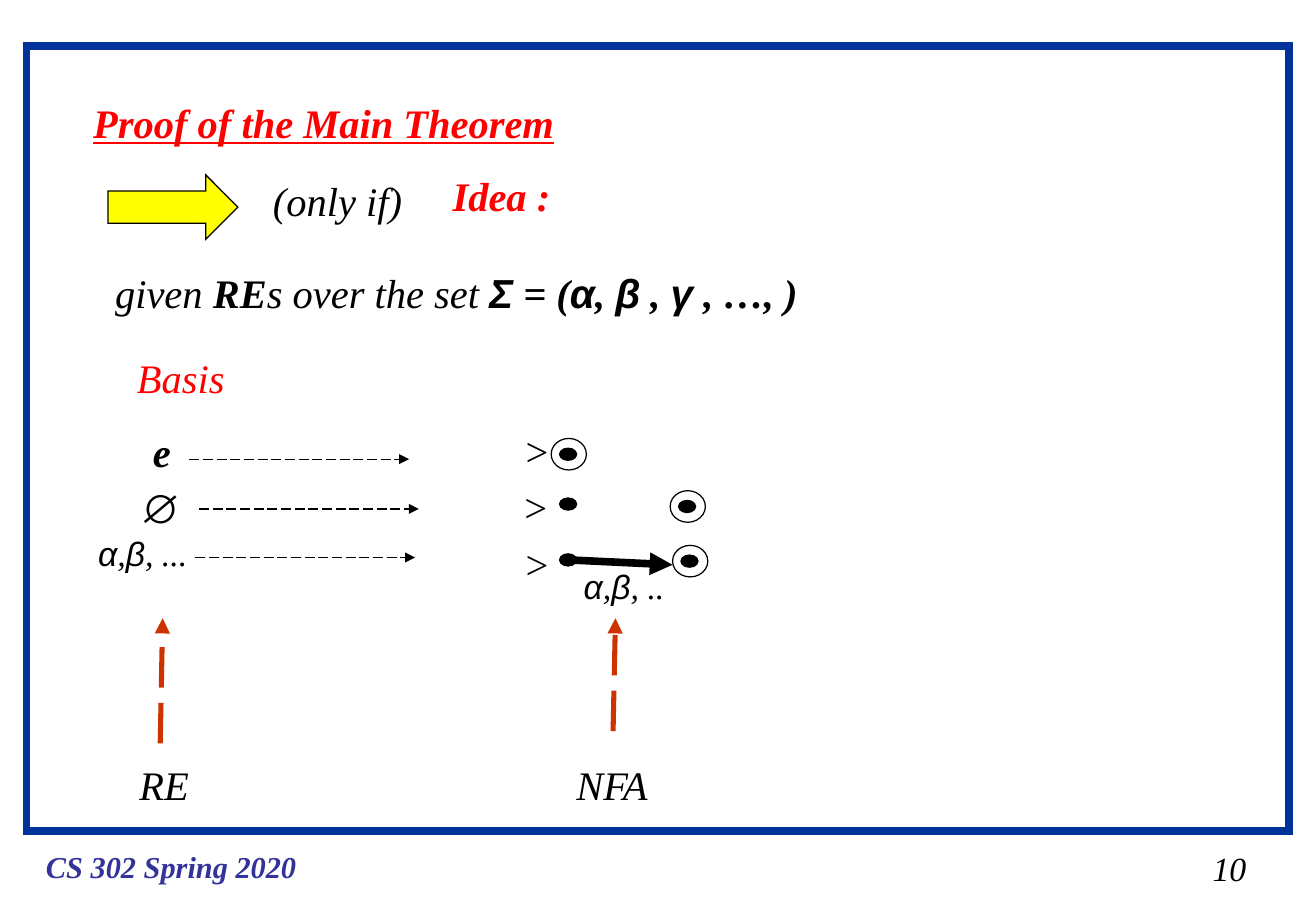
from lxml.etree import SubElement
from pptx import Presentation
from pptx.dml.color import RGBColor
from pptx.enum.dml import MSO_LINE
from pptx.enum.shapes import MSO_CONNECTOR, MSO_SHAPE
from pptx.enum.text import MSO_AUTO_SIZE
from pptx.oxml.ns import qn
from pptx.util import Inches, Pt

COLORS = {
    "black": "000000",
    "red": "FF0000",
    "yellow": "FFFF00",
    "frame": "003399",
    "footer": "333399",
    "pointer": "CC3300",
}
SYMBOLS = {"Σ", "α", "β", "γ", "∅"}


def rgb(name):
    return RGBColor.from_string(COLORS[name])


def add_text(slide, left, top, width, runs, size=24, color="black",
             bold=False, underline=False, wrap=False):
    """Add italic text; runs is a string or a list of (text, bold) pairs."""
    height = 0.5 if size == 24 else 0.44
    box = slide.shapes.add_textbox(Inches(left), Inches(top), Inches(width), Inches(height))
    frame = box.text_frame
    frame.word_wrap = wrap
    frame.auto_size = MSO_AUTO_SIZE.SHAPE_TO_FIT_TEXT
    paragraph = frame.paragraphs[0]
    for text, run_bold in [(runs, bold)] if isinstance(runs, str) else runs:
        run = paragraph.add_run()
        run.text = text
        font = run.font
        font.name = "Arial" if text in SYMBOLS else "Times New Roman"
        font.size = Pt(size)
        font.italic = True
        font.bold = run_bold
        if underline:
            font.underline = True
        font.color.rgb = rgb(color)


def add_figure(slide, kind, left, top, width, height, fill=None, line="black", weight=0.75):
    shape = slide.shapes.add_shape(kind, Inches(left), Inches(top), Inches(width), Inches(height))
    shape.shadow.inherit = False
    if fill:
        shape.fill.solid()
        shape.fill.fore_color.rgb = rgb(fill)
    else:
        shape.fill.background()
    shape.line.color.rgb = rgb(line)
    shape.line.width = Pt(weight)
    SubElement(shape._element.spPr.find(qn("a:ln")), qn("a:miter"), lim="800000")


def add_arrow(slide, start, end, color="black", weight=0.75, dashed=True):
    connector = slide.shapes.add_connector(
        MSO_CONNECTOR.STRAIGHT, *(Inches(value) for value in (*start, *end)))
    line = connector.line
    line.color.rgb = rgb(color)
    line.width = Pt(weight)
    if dashed:
        line.dash_style = MSO_LINE.LONG_DASH
    properties = connector._element.spPr
    SubElement(properties.find(qn("a:ln")), qn("a:tailEnd"), type="triangle")
    SubElement(properties, qn("a:effectLst"))


def add_state(slide, left, top, accepting=False):
    """Add a state dot, ringed when it is accepting."""
    add_figure(slide, MSO_SHAPE.OVAL, left, top, 0.14, 0.1, fill="black")
    if accepting:
        add_figure(slide, MSO_SHAPE.OVAL, left - 0.07, top - 0.08, 0.29, 0.26)


def add_letters(slide, left, top, width, ending):
    letters = [("α", False), (",", False), ("β", False), (ending, False)]
    add_text(slide, left, top, width, letters, size=20)


def add_basis_row(slide, arrow_left, arrow_y, start_left, start_top):
    """Add the dashed arrow from an expression and the start mark of its automaton."""
    add_arrow(slide, (arrow_left, arrow_y), (arrow_left + 1.81, arrow_y))
    add_text(slide, start_left, start_top, 0.42, ">")


def add_basis(slide):
    add_text(slide, 1.03, 2.86, 0.94, "Basis", color="red")

    add_text(slide, 1.16, 3.47, 0.35, "e", bold=True)
    add_basis_row(slide, 1.56, 3.78, 4.21, 3.46)
    add_state(slide, 4.61, 3.69, accepting=True)

    add_text(slide, 1.06, 3.93, 0.46, "∅", bold=True)
    add_basis_row(slide, 1.64, 4.19, 4.2, 3.92)
    add_state(slide, 4.61, 4.1)
    add_state(slide, 5.59, 4.12, accepting=True)

    add_letters(slide, 0.71, 4.34, 0.94, ", ...")
    add_basis_row(slide, 1.61, 4.59, 4.21, 4.39)
    add_state(slide, 4.61, 4.56)
    add_state(slide, 5.61, 4.57, accepting=True)
    add_arrow(slide, (4.69, 4.61), (5.54, 4.65), weight=4.5, dashed=False)
    add_letters(slide, 4.71, 4.61, 0.87, ", ..")


def add_column_label(slide, left, width, label, start, end):
    add_arrow(slide, start, end, color="pointer", weight=3)
    add_text(slide, left, 6.21, width, label)


def main():
    presentation = Presentation()
    presentation.slide_width = Inches(10.84)
    presentation.slide_height = Inches(7.5)
    slide = presentation.slides.add_slide(presentation.slide_layouts[6])

    add_figure(slide, MSO_SHAPE.RECTANGLE, 0.22, 0.38, 10.4, 6.46, line="frame", weight=4.5)
    add_text(slide, 0.28, 6.93, 2.28, "CS 302 Spring 2020", size=18, color="footer", bold=True)
    add_text(slide, 9.89, 6.93, 0.5, "10", size=20)

    add_text(slide, 0.67, 0.76, 4.04, "Proof of the Main Theorem",
             color="red", bold=True, underline=True)
    add_figure(slide, MSO_SHAPE.RIGHT_ARROW, 0.89, 1.44, 1.07, 0.53, fill="yellow")
    add_text(slide, 2.15, 1.4, 1.3, "(only if)")
    add_text(slide, 3.63, 1.36, 1.04, "Idea :", color="red", bold=True)
    alphabet = ["Σ", " = (", "α", ", ", "β", " , ", "γ", " , …, )"]
    given = [("given ", False), ("RE", True), ("s over the set ", False)]
    add_text(slide, 0.85, 2.16, 8.57, given + [(text, True) for text in alphabet], wrap=True)

    add_basis(slide)
    add_column_label(slide, 1.05, 0.64, "RE", (1.32, 6.12), (1.34, 5.09))
    add_column_label(slide, 4.65, 0.85, "NFA", (5.05, 6.02), (5.07, 5.09))

    presentation.save("out.pptx")


if __name__ == "__main__":
    main()
